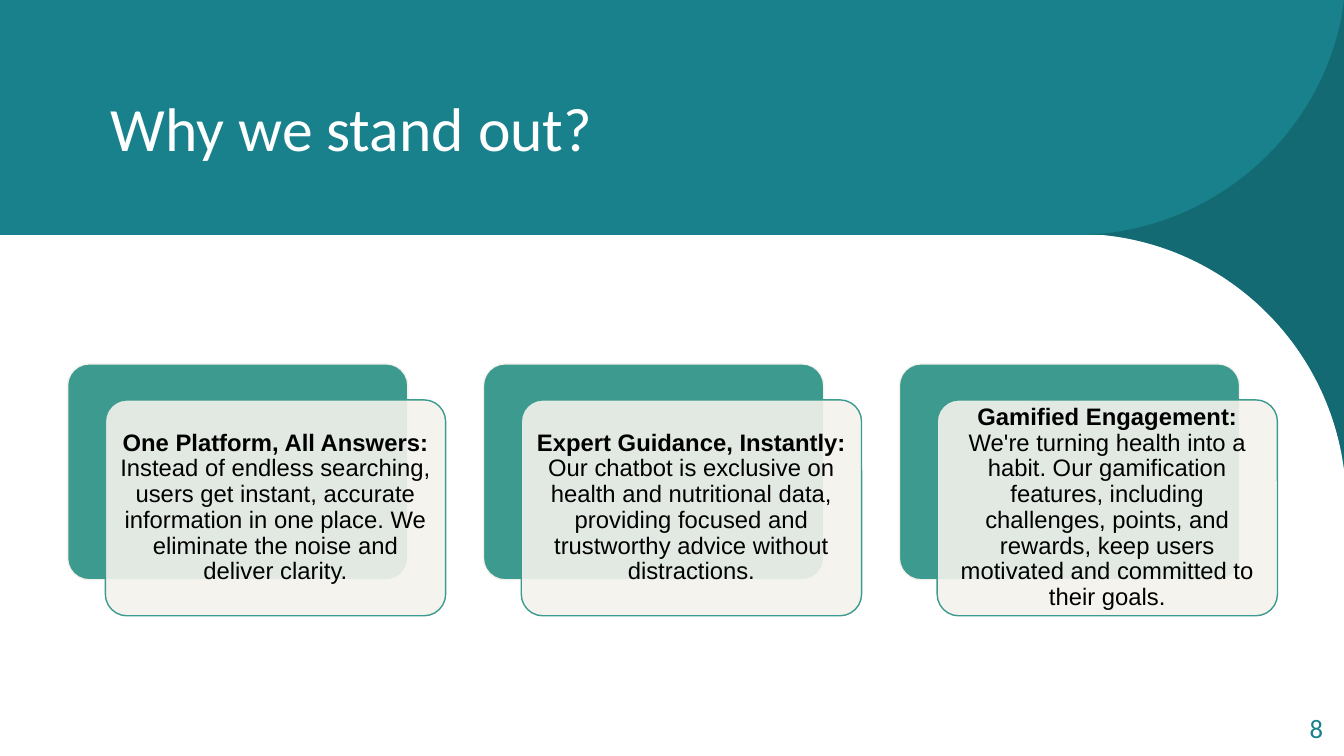
from dataclasses import dataclass

from lxml.etree import SubElement
from pptx import Presentation
from pptx.dml.color import RGBColor
from pptx.enum.shapes import MSO_SHAPE as Preset
from pptx.enum.text import MSO_ANCHOR as Anchor, PP_ALIGN as Align
from pptx.oxml.ns import qn
from pptx.util import Inches, Pt

COLORS = {
    "teal": "18818C",
    "deep": "126169",
    "green": "3C9A8F",
    "sand": "F4F2EC",
    "white": "FFFFFF",
    "black": "000000",
}
WIDTH, HEIGHT = 13.33, 7.5
BAND_BOTTOM = 2.33

# Card grid: each card is 9 columns by 6 rows, its front one cell further on
COLUMN, ROW = 0.375, 0.357
CARD_LEFT, CARD_TOP = 0.67, 3.61
CARD_COLUMNS, CARD_ROWS, CARD_PITCH = 9, 6, 11


@dataclass
class Card:
    heading: str
    body: str


@dataclass
class Span:
    text: str
    size: float
    font: str
    color: str
    bold: bool = False


CARDS = [
    Card("One Platform, All Answers:",
         " Instead of endless searching, users get instant, accurate information "
         "in one place. We eliminate the noise and deliver clarity."),
    Card("Expert Guidance, Instantly:",
         " Our chatbot is exclusive on health and nutritional data, providing "
         "focused and trustworthy advice without distractions."),
    Card("Gamified Engagement:",
         " We're turning health into a habit. Our gamification features, including "
         "challenges, points, and rewards, keep users motivated and committed to "
         "their goals."),
]

# Corner sweep: a start point, then lines (one point) and Bézier curves (three points)
SWEEP_START = (13.35, 0)
SWEEP = [
    [(13.33, 0)],
    [(13.31, 0.15)],
    [(13.09, 1.31), (12.12, 2.2), (10.93, 2.32)],
    [(10.78, 2.32)],
    [(10.93, 2.33)],
    [(12.2, 2.45), (13.21, 3.46), (13.34, 4.73)],
    [(13.35, 4.8)],
]


def rgb(name: str) -> RGBColor:
    return RGBColor.from_string(COLORS[name])


def paint(shape, fill: str, line: str | None = None, opacity: int = 100) -> None:
    shape.shadow.inherit = False
    shape.fill.solid()
    shape.fill.fore_color.rgb = rgb(fill)
    if opacity < 100:
        color = shape.fill._xPr.find(qn("a:solidFill"))[0]
        SubElement(color, qn("a:alpha")).set("val", str(opacity * 1000))
    if line:
        shape.line.color.rgb = rgb(line)
        shape.line.width = Pt(1)
    else:
        shape.line.fill.background()


def write(shape, spans: list[Span], inset: float, **para_format) -> None:
    frame = shape.text_frame
    frame_format = {"word_wrap": True, "vertical_anchor": Anchor.MIDDLE}
    frame_format |= {f"margin_{side}": Inches(inset)
                     for side in ("left", "top", "right", "bottom")}
    for key, value in frame_format.items():
        setattr(frame, key, value)
    para = frame.paragraphs[0]
    for key, value in para_format.items():
        setattr(para, key, value)
    for span in spans:
        run = para.add_run()
        run.text = span.text
        run.font.color.rgb = rgb(span.color)
        font_format = {"name": span.font, "size": Pt(span.size), "bold": span.bold}
        for key, value in font_format.items():
            setattr(run.font, key, value)


def add_box(page, left: float, top: float, width: float, height: float):
    return page.shapes.add_textbox(*map(Inches, (left, top, width, height)))


def add_block(page, width: float, height: float, color: str) -> None:
    block = page.shapes.add_shape(Preset.RECTANGLE, 0, 0, Inches(width), Inches(height))
    paint(block, color)


def add_sweep(page, color: str, opacity: int = 100) -> None:
    builder = page.shapes.build_freeform(*map(Inches, SWEEP_START))
    builder.add_line_segments(
        [tuple(map(Inches, point)) for segment in SWEEP for point in segment], close=True)
    sweep = builder.convert_to_shape()
    # Join each run of three points into one curve
    steps = iter(list(sweep._element.iter(qn("a:lnTo"))))
    for segment in SWEEP:
        first, *others = [next(steps) for _ in segment]
        if others:
            curve = first.makeelement(qn("a:cubicBezTo"))
            first.addprevious(curve)
            for step in (first, *others):
                curve.append(step[0])
                step.getparent().remove(step)
    paint(sweep, color, opacity=opacity)


def add_panel(page, column: int, row: int):
    panel = page.shapes.add_shape(
        Preset.ROUNDED_RECTANGLE,
        Inches(CARD_LEFT + column * COLUMN), Inches(CARD_TOP + row * ROW),
        Inches(CARD_COLUMNS * COLUMN), Inches(CARD_ROWS * ROW))
    panel.adjustments[0] = 0.1
    return panel


def add_card(page, index: int, card: Card) -> None:
    column = index * CARD_PITCH
    paint(add_panel(page, column, 0), "green", "sand")
    front = add_panel(page, column + 1, 1)
    paint(front, "sand", "green", opacity=90)
    spans = [Span(card.heading, 17, "Arial", "black", True),
             Span(card.body, 17, "Arial", "black")]
    write(front, spans, 0.07, alignment=Align.CENTER, line_spacing=0.9)


def main() -> None:
    deck = Presentation()
    deck.slide_width, deck.slide_height = Inches(WIDTH), Inches(HEIGHT)
    page = deck.slides.add_slide(deck.slide_layouts[6])

    # White ground and header band with its title and corner sweep
    add_block(page, WIDTH, HEIGHT, "white")
    add_block(page, WIDTH, BAND_BOTTOM, "teal")
    title = add_box(page, 1, 0.65, 10.84, 1.21)
    write(title, [Span("Why we stand out?", 44, "Calibri", "white")], 0.1)
    add_sweep(page, "teal")
    add_sweep(page, "deep", opacity=70)

    # Slide number
    number = add_box(page, 12.46, 7.04, 0.76, 0.4)
    write(number, [Span("8", 19, "Calibri", "teal")], 0.1,
          alignment=Align.RIGHT, line_spacing=0.9, space_after=Pt(6))

    # Cards
    for index, card in enumerate(CARDS):
        add_card(page, index, card)

    deck.save("out.pptx")


if __name__ == "__main__":
    main()
